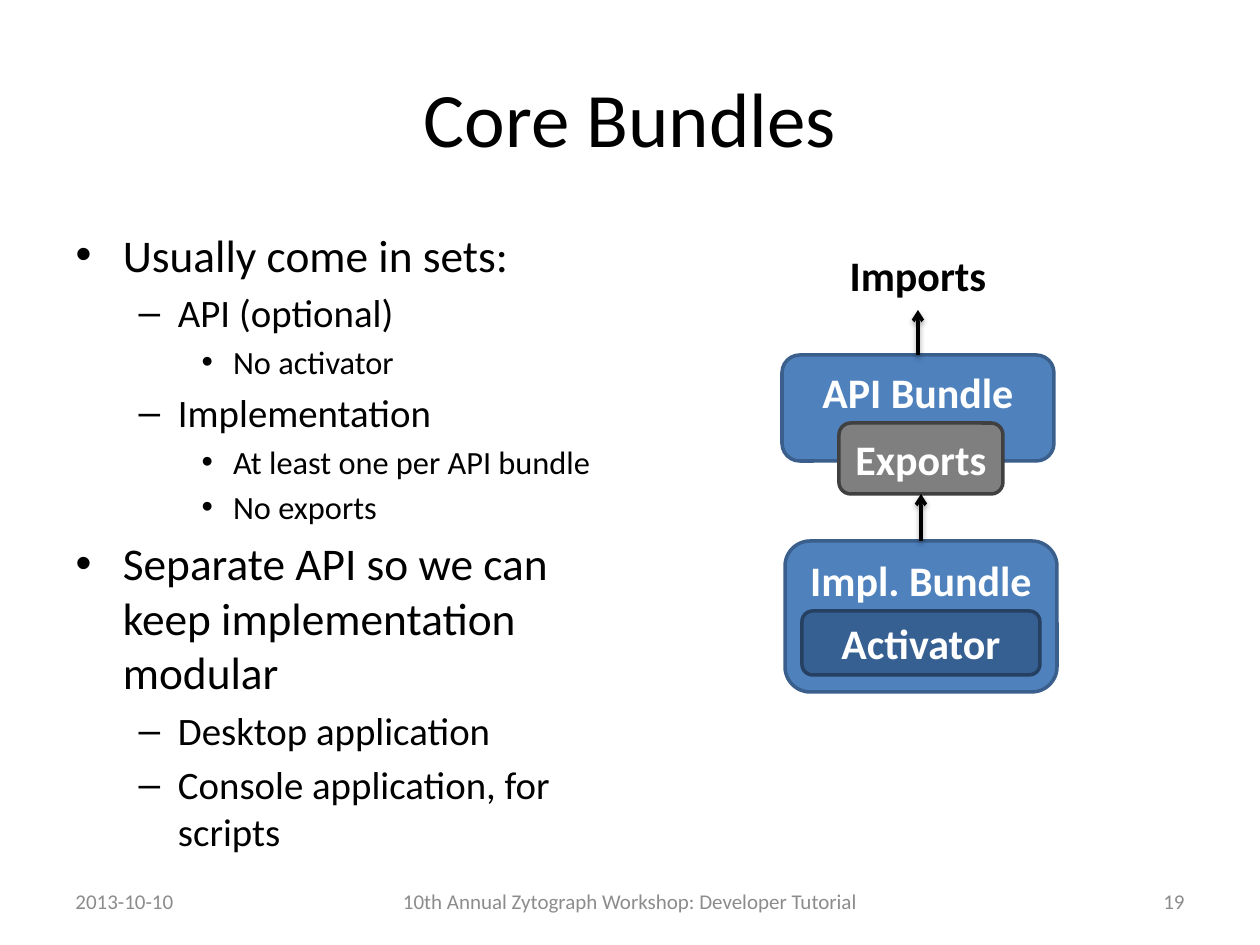
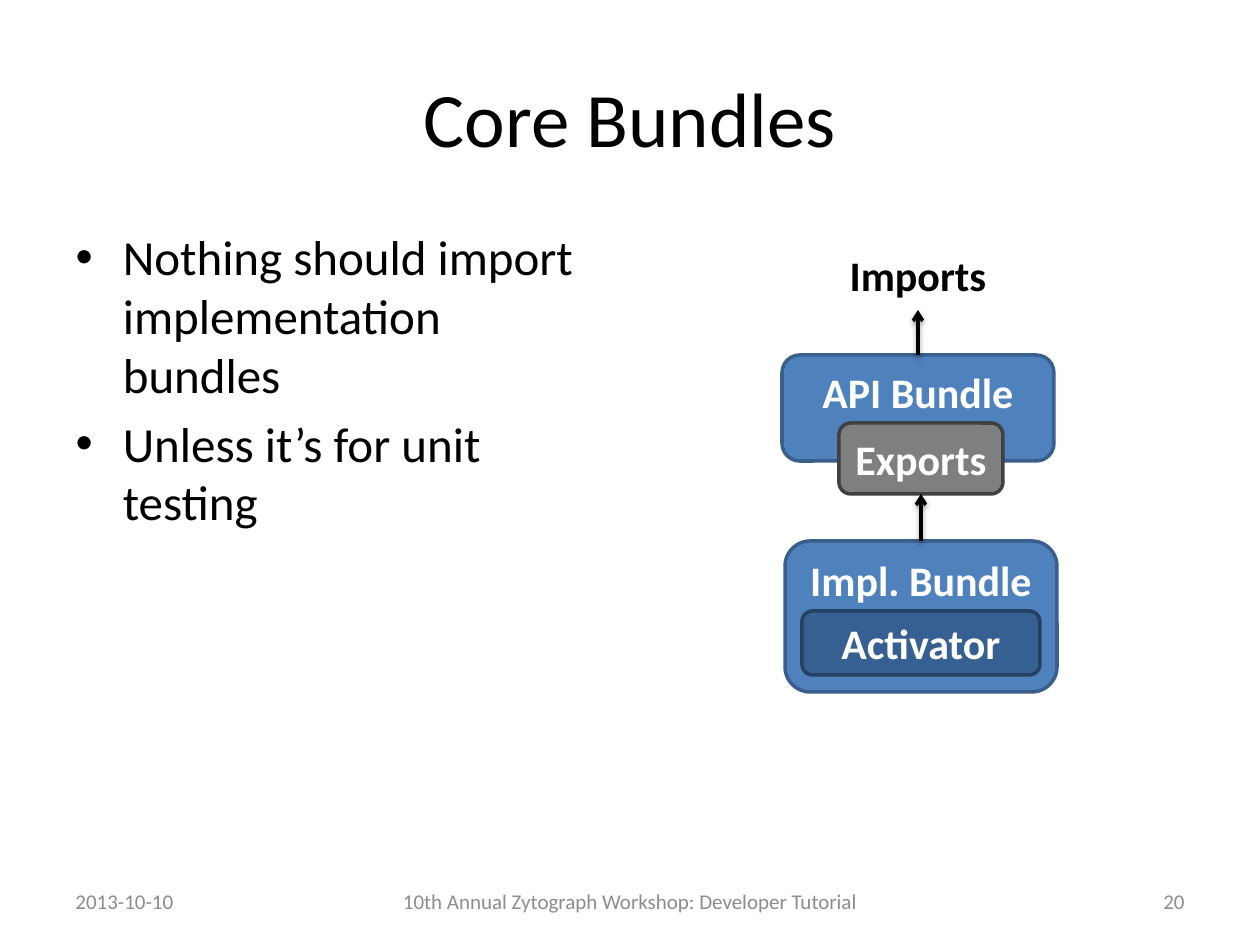
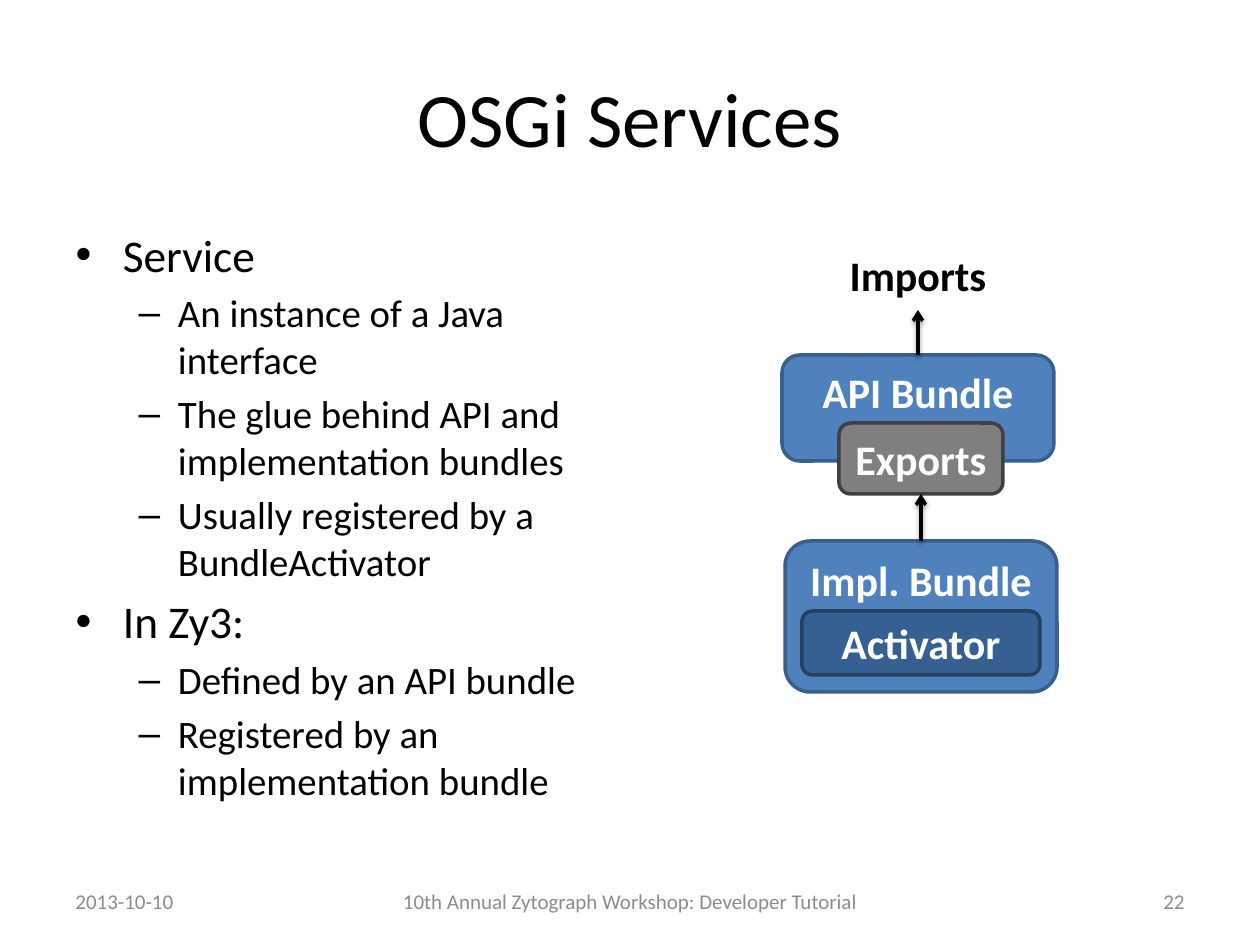
"""Build three slides on bundles and services, each with the same bundle diagram."""
from lxml.etree import SubElement
from pptx import Presentation
from pptx.dml.color import RGBColor
from pptx.enum.shapes import MSO_CONNECTOR as Connector, MSO_SHAPE as Shape
from pptx.enum.text import MSO_ANCHOR as Anchor, MSO_AUTO_SIZE as AutoSize, PP_ALIGN as Align
from pptx.oxml import parse_xml
from pptx.oxml.ns import qn
from pptx.util import Emu, Pt

BLACK, WHITE, GRAY = "000000", "FFFFFF", "8C8C8C"
TWO_CONTENT = 3
TOP, BOTTOM = 0, 2

ARROW_SHADOW = """
<a:effectLst xmlns:a="http://schemas.openxmlformats.org/drawingml/2006/main">
  <a:outerShdw blurRad="40000" dist="20000" dir="5400000" rotWithShape="0">
    <a:srgbClr val="000000"><a:alpha val="38000"/></a:srgbClr>
  </a:outerShdw>
</a:effectLst>"""

SLIDES = [
    ("Core Bundles", "19", [25.9, 22.2, 18.5], [
        (0, "Usually come in sets:"),
        (1, "API (optional)"),
        (2, "No activator"),
        (1, "Implementation"),
        (2, "At least one per API bundle"),
        (2, "No exports"),
        (0, "Separate API so we can keep implementation modular"),
        (1, "Desktop application"),
        (1, "Console application, for scripts"),
    ]),
    ("Core Bundles", "20", [28], [
        (0, "Nothing should import implementation bundles"),
        (0, "Unless it’s for unit testing"),
    ]),
    ("OSGi Services", "22", [25.9, 22.2], [
        (0, "Service"),
        (1, "An instance of a Java interface"),
        (1, "The glue behind API and implementation bundles"),
        (1, "Usually registered by a BundleActivator"),
        (0, "In Zy3:"),
        (1, "Defined by an API bundle"),
        (1, "Registered by an implementation bundle"),
    ]),
]

BOXES = [
    ("Impl. Bundle", (785, 541, 272, 151), "4F81BD", "3A5F8C", WHITE, Anchor.TOP, True),
    ("Activator", (802, 611, 238, 64), "376092", "254061", WHITE, Anchor.MIDDLE, True),
    ("API Bundle", (782, 355, 272, 106), "4F81BD", "3A5F8C", WHITE, Anchor.TOP, True),
    ("Imports", (833, 239, 170, 71), None, None, BLACK, Anchor.MIDDLE, False),
    ("Exports", (839, 423, 164, 71), "7F7F7F", "404040", WHITE, Anchor.MIDDLE, False),
]
ARROWS = [("Impl. Bundle", "Exports"), ("API Bundle", "Imports")]


def px(*lengths):
    return [Emu(round(length * 914400 / 126)) for length in lengths]


def style(paragraph, size, color, bold=None):
    font = paragraph.font
    font.name, font.size, font.bold = "Calibri", Pt(size), bold
    font.color.rgb = RGBColor.from_string(color)


presentation = Presentation()
presentation.slide_width, presentation.slide_height = px(1260, 945)

for title, number, sizes, bullets in SLIDES:
    slide = presentation.slides.add_slide(presentation.slide_layouts[TWO_CONTENT])
    slide.shapes.title.text = title
    style(slide.shapes.title.text_frame.paragraphs[0], 44, BLACK)

    body, unused = slide.placeholders[1], slide.placeholders[2]
    unused.element.getparent().remove(unused.element)
    body.text_frame.text = "\n".join(text for level, text in bullets)
    body.text_frame.auto_size = AutoSize.NONE
    for paragraph, (level, text) in zip(body.text_frame.paragraphs, bullets):
        paragraph.level = level
        style(paragraph, sizes[level], BLACK)

    for text, left, width, alignment in [
        ("2013-10-10", 63, 294, Align.LEFT),
        ("10th Annual Zytograph Workshop: Developer Tutorial", 357, 546, Align.CENTER),
        (number, 903, 294, Align.RIGHT),
    ]:
        footer = slide.shapes.add_textbox(*px(left, 876, width, 50)).text_frame
        footer.word_wrap = True
        footer.vertical_anchor = Anchor.MIDDLE
        footer.text = text
        footer.paragraphs[0].alignment = alignment
        style(footer.paragraphs[0], 12, GRAY)

    boxes = {}
    for name, bounds, fill, outline, color, anchor, wrap in BOXES:
        box = slide.shapes.add_shape(Shape.ROUNDED_RECTANGLE, *px(*bounds))
        box.shadow.inherit = False
        if fill:
            box.fill.solid()
            box.fill.fore_color.rgb = RGBColor.from_string(fill)
            box.line.color.rgb = RGBColor.from_string(outline)
            box.line.width = Pt(2)
        else:
            box.fill.background()
            box.line.fill.background()
        frame = box.text_frame
        frame.text, frame.word_wrap, frame.vertical_anchor = name, wrap, anchor
        frame.paragraphs[0].alignment = Align.CENTER
        style(frame.paragraphs[0], 24, color, bold=True)
        boxes[name] = box

    for source, target in ARROWS:
        arrow = slide.shapes.add_connector(Connector.STRAIGHT, 0, 0, 0, 0)
        arrow.begin_connect(boxes[source], TOP)
        arrow.end_connect(boxes[target], BOTTOM)
        arrow.line.color.rgb = RGBColor.from_string(BLACK)
        arrow.line.width = Pt(2)
        properties = arrow.element.spPr
        SubElement(properties.find(qn("a:ln")), qn("a:tailEnd"), type="arrow")
        properties.append(parse_xml(ARROW_SHADOW))

presentation.save("out.pptx")
